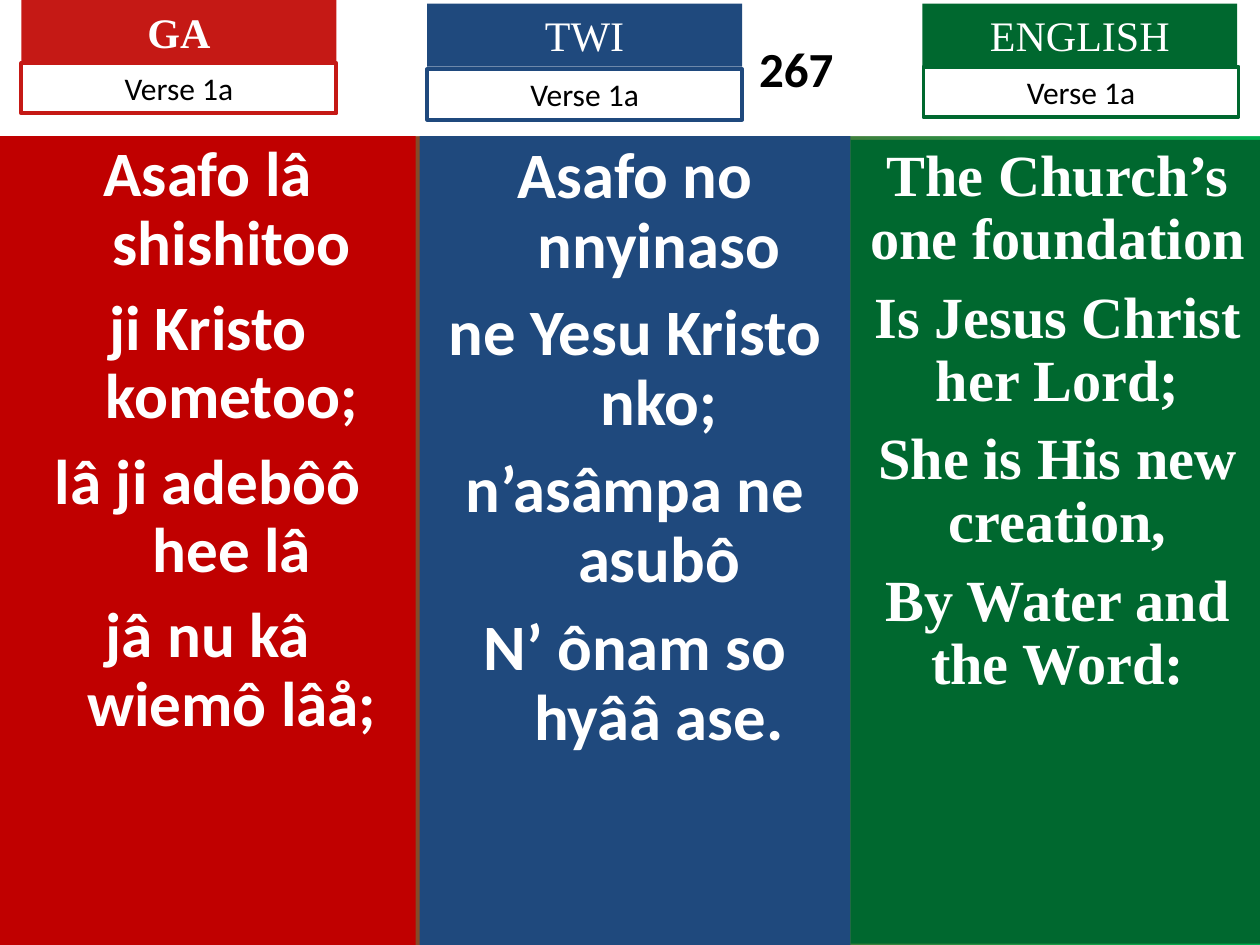
"""Build a hymn slide with the same verse in Ga, Twi and English."""
from pptx import Presentation
from pptx.dml.color import RGBColor
from pptx.enum import shapes, text
from pptx.util import Inches, Pt

THEME = {
    "white": RGBColor(0xFF, 0xFF, 0xFF), "black": RGBColor(0, 0, 0),
    "scarlet": RGBColor(0xC5, 0x19, 0x15), "red": RGBColor(0xC0, 0, 0),
    "blue": RGBColor(0x1F, 0x49, 0x7D), "green": RGBColor(0, 0x68, 0x2F),
    "bright": RGBColor(0, 0xB0, 0x50),
    "sans": "Calibri", "serif": "Times New Roman",
    "number": 28, "language": 24, "verse": 18,
}
MIDDLE, TOP = text.MSO_ANCHOR.MIDDLE, text.MSO_ANCHOR.TOP


def write(panel, lines, font, anchor=TOP, spacing=None, gap=0, hanging=0):
    frame = panel.text_frame
    for name, value in {"word_wrap": True, "vertical_anchor": anchor}.items():
        setattr(frame, name, value)
    for index, line in enumerate(lines):
        paragraph = frame.add_paragraph() if index else frame.paragraphs[0]
        layout = {"text": line, "alignment": text.PP_ALIGN.CENTER, "line_spacing": spacing,
                  "space_before": Pt(gap if index else 0)}
        for name, value in layout.items():
            setattr(paragraph, name, value)
        if hanging:
            properties = paragraph._p.get_or_add_pPr()
            properties.set("marL", str(Inches(hanging)))
            properties.set("indent", str(Inches(-hanging)))
        run_font = paragraph.runs[0].font
        for name, value in font.items():
            if name == "color":
                run_font.color.rgb = value
            else:
                setattr(run_font, name, value)


def add_panel(box, fill=None, outline=None):
    panel = slide.shapes.add_shape(shapes.MSO_SHAPE.RECTANGLE, *map(Inches, box))
    panel.shadow.inherit = False
    if fill is None:
        panel.fill.background()
    else:
        panel.fill.solid()
        panel.fill.fore_color.rgb = fill
    if outline is None:
        panel.line.fill.background()
    else:
        panel.line.color.rgb = outline
        panel.line.width = Pt(2.25)
    return panel


prs = Presentation()
prs.slide_width, prs.slide_height = Inches(10), Inches(7.5)
slide = prs.slides.add_slide(prs.slide_layouts[5])

backdrop = slide.background.fill
backdrop.gradient()
backdrop.gradient_angle = 0
for stop, color in zip(backdrop.gradient_stops, (THEME["scarlet"], THEME["bright"])):
    stop.color.rgb = color

hymn_number = slide.shapes.title
for name, value in {"left": 0, "top": 0, "width": 10, "height": 1.08}.items():
    setattr(hymn_number, name, Inches(value))
hymn_number.fill.solid()
hymn_number.fill.fore_color.rgb = THEME["white"]
hymn_number.text_frame.margin_left = Inches(2.74)
write(hymn_number, ["267"], {"name": THEME["sans"], "size": Pt(THEME["number"]), "bold": True,
                             "color": THEME["black"]}, MIDDLE)

columns = [
    {"language": "GA", "bold": True, "accent": "scarlet", "fill": "red",
     "heading": (0.17, 0), "verse": (0.17, 0.5), "body": (0, 1.08, 3.3, 6.42),
     "font": "sans", "size": 36.1, "gap": 9.8, "hanging": 0.38,
     "lines": ["Asafo lâ shishitoo", "ji Kristo kometoo;", "lâ ji adebôô hee lâ",
               "jâ nu kâ wiemô lâå;"]},
    {"language": "TWI", "bold": False, "accent": "blue", "fill": "blue",
     "heading": (3.39, 0.03), "verse": (3.39, 0.55), "body": (3.33, 1.08, 3.42, 6.42),
     "font": "sans", "size": 37, "gap": 10, "hanging": 0.38,
     "lines": ["Asafo no nnyinaso", "ne Yesu Kristo nko;", "n’asâmpa ne asubô",
               "N’ ônam so hyââ ase."]},
    {"language": "ENGLISH", "bold": False, "accent": "green", "fill": "green",
     "heading": (7.32, 0.03), "verse": (7.33, 0.53), "body": (6.75, 1.11, 3.29, 6.38),
     "font": "serif", "size": 33.3, "gap": 9, "hanging": 0,
     "lines": ["The Church’s one foundation", "Is Jesus Christ her Lord;",
               "She is His new creation,", "By Water and the Word:"]},
]

for column in columns:
    accent = THEME[column["accent"]]
    body = add_panel(column["body"], fill=THEME[column["fill"]])
    write(body, column["lines"], {"name": THEME[column["font"]], "size": Pt(column["size"]),
                                  "bold": True, "color": THEME["white"]},
          spacing=0.9, gap=column["gap"], hanging=column["hanging"])
    heading = add_panel((*column["heading"], 2.5, 0.5), fill=accent)
    write(heading, [column["language"]], {"name": THEME["serif"], "size": Pt(THEME["language"]),
                                          "bold": column["bold"], "color": THEME["white"]})
    verse = add_panel((*column["verse"], 2.5, 0.4), outline=accent)
    write(verse, ["Verse 1a"], {"name": THEME["sans"], "size": Pt(THEME["verse"]),
                                "bold": False, "color": THEME["black"]})

prs.save("out.pptx")
